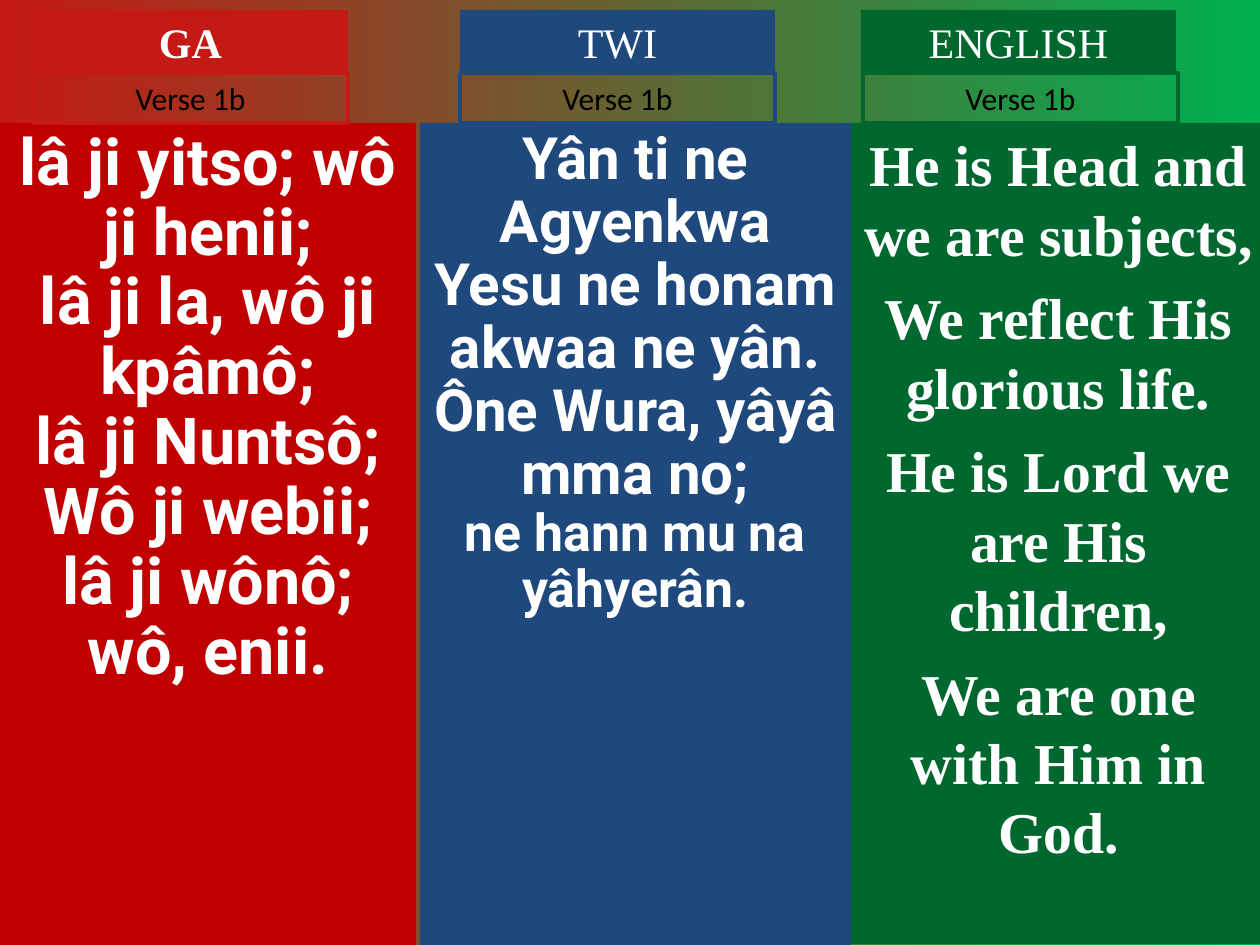
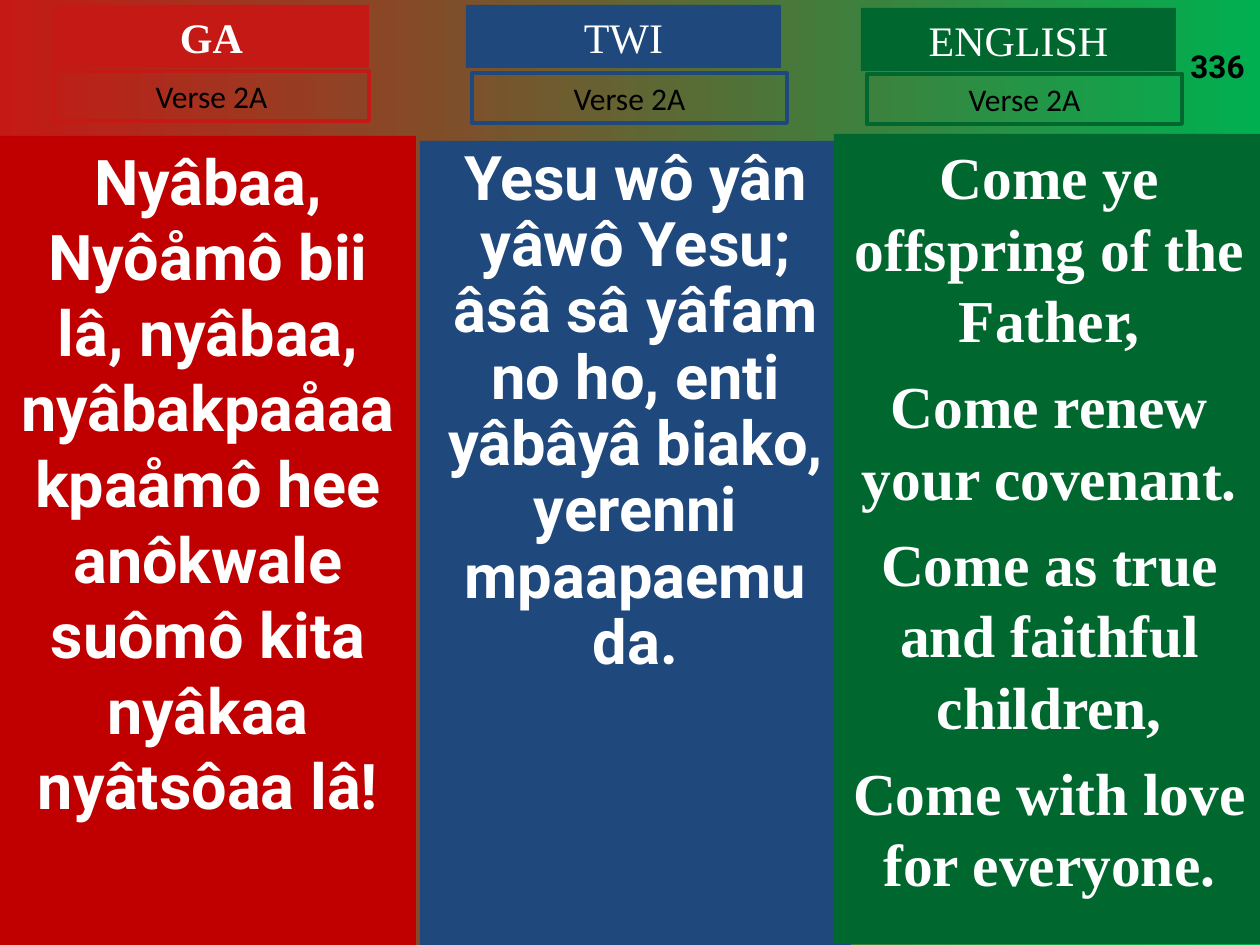
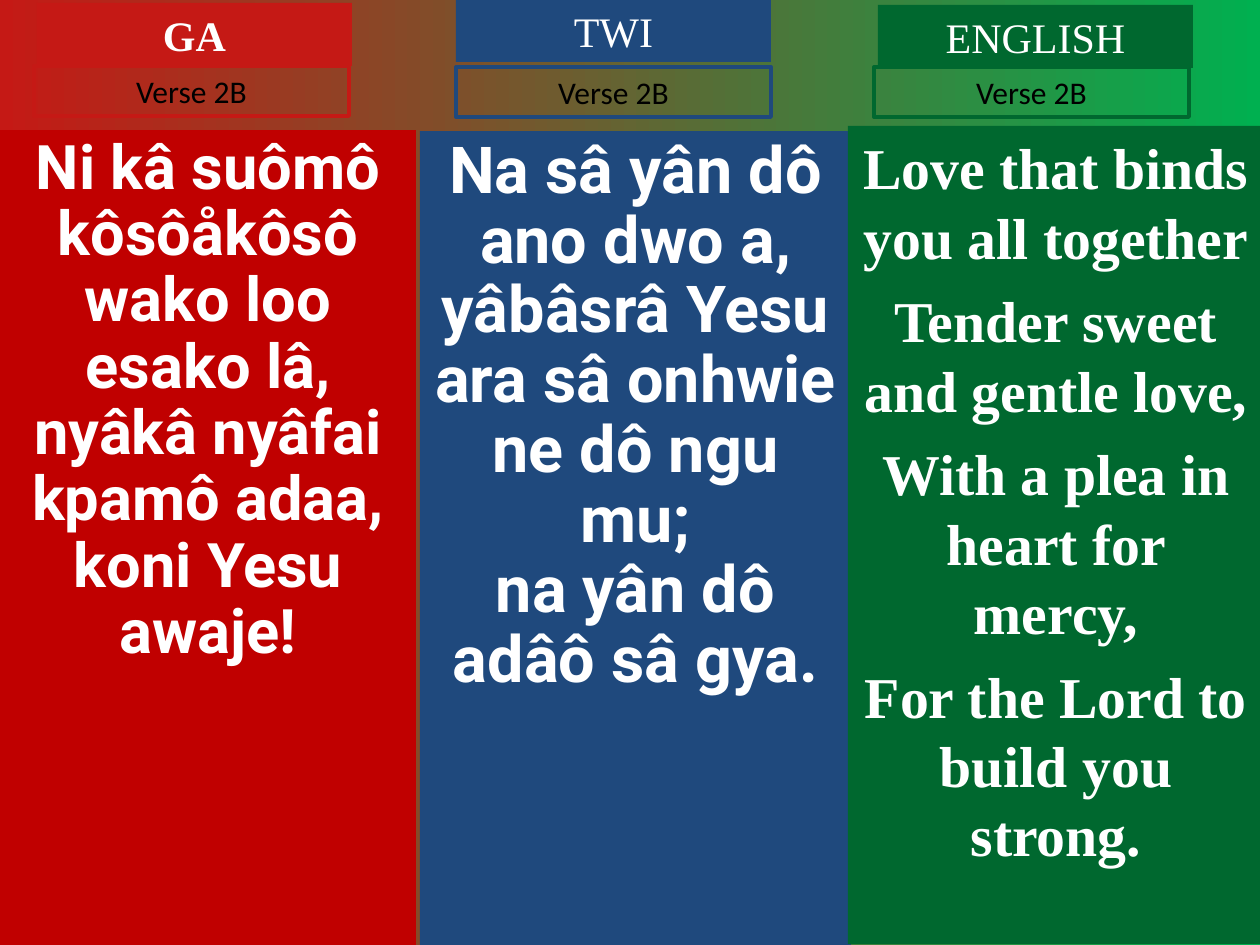
from pptx import Presentation
from pptx.dml.color import RGBColor
from pptx.enum.shapes import MSO_SHAPE
from pptx.enum.text import MSO_ANCHOR, MSO_AUTO_SIZE, PP_ALIGN
from pptx.util import Emu, Pt

PX = 914400 / 126
SLIDE_W, SLIDE_H = 1260, 945
HEADER_SIZE = (315, 63)
VERSE_SIZE = (315, 50)
COLOURS = {"red": "C51915", "deep red": "C00000", "blue": "1F497D",
           "green": "00682F", "bright green": "00B050",
           "white": "FFFFFF", "black": "000000"}

LANGUAGES = {
    "GA": {"panel": "deep red", "accent": "red", "font": "Roboto", "bold": True, "bottom": 945},
    "TWI": {"panel": "blue", "accent": "blue", "font": "Roboto", "bold": False, "bottom": 945},
    "ENGLISH": {"panel": "green", "accent": "green", "font": "Times New Roman", "bold": False,
                "bottom": 944},
}

VERSES = [
    {"title": "Verse 1b", "hymn": None, "columns": {
        "GA": {"panel": (0, 123, 416), "header": (33, 10), "verse": (33, 73),
               "size": 37, "spacing": 0.9, "before": 0, "lines": [
                   "lâ ji yitso; wô ji henii;", "lâ ji la, wô ji kpâmô;",
                   "lâ ji Nuntsô; Wô ji webii;", "lâ ji wônô; wô, enii."]},
        "TWI": {"panel": (420, 123, 431), "header": (460, 10), "verse": (460, 73),
                "size": 33.3, "last_size": 29.6, "spacing": 0.9, "before": 0, "lines": [
                    "Yân ti ne Agyenkwa Yesu ne honam akwaa ne yân.",
                    "Ône Wura, yâyâ mma no;", "ne hann mu na yâhyerân."]},
        "ENGLISH": {"panel": (851, 123, 415), "header": (861, 10), "verse": (863, 73),
                    "size": 33, "spacing": 1, "before": 8.2, "lines": [
                        "He is Head and we are subjects,", "We reflect His glorious life.",
                        "He is Lord we are His children,", "We are one with Him in God."]},
    }},
    {"title": "Verse 2A", "hymn": "336", "columns": {
        "GA": {"panel": (0, 136, 416), "header": (54, 5), "verse": (54, 71),
               "size": 36, "spacing": 1, "before": 0, "lines": [
                   "Nyâbaa, Nyôåmô bii lâ, nyâbaa,", "nyâbakpaåaa kpaåmô hee",
                   "anôkwale suômô kita", "nyâkaa nyâtsôaa lâ!"]},
        "TWI": {"panel": (420, 141, 431), "header": (466, 5), "verse": (472, 73),
                "size": 35.1, "spacing": 0.9, "before": 0, "lines": [
                    "Yesu wô yân yâwô Yesu;", "âsâ sâ yâfam no ho, enti yâbâyâ biako,",
                    "yerenni mpaapaemu da."]},
        "ENGLISH": {"panel": (834, 134, 431), "header": (861, 8), "verse": (867, 74),
                    "size": 34, "spacing": 1, "before": 8.5, "lines": [
                        "Come ye offspring of the Father,", "Come renew your covenant.",
                        "Come as true and faithful children,", "Come with love for everyone."]},
    }},
    {"title": "Verse 2B", "hymn": None, "columns": {
        "GA": {"panel": (0, 130, 416), "header": (37, 3), "verse": (34, 66),
               "size": 35.1, "spacing": 0.9, "before": 0, "lines": [
                   "Ni kâ suômô kôsôåkôsô", "wako loo esako lâ,",
                   "nyâkâ nyâfai kpamô adaa,", "koni Yesu awaje!"]},
        "TWI": {"panel": (420, 131, 431), "header": (456, -1), "verse": (456, 67),
                "size": 37, "spacing": 0.9, "before": 0, "lines": [
                    "Na sâ yân dô ano dwo a,", "yâbâsrâ Yesu ara sâ onhwie ne dô ngu mu;",
                    "na yân dô adâô sâ gya."]},
        "ENGLISH": {"panel": (848, 126, 416), "header": (878, 5), "verse": (874, 67),
                    "size": 33, "spacing": 1, "before": 8.2, "lines": [
                        "Love that binds you all together", "Tender sweet and gentle love,",
                        "With a plea in heart for mercy,", "For the Lord to build you strong."]},
    }},
]


def rgb(colour):
    return RGBColor.from_string(COLOURS[colour])


def emu(*lengths):
    return [Emu(round(length * PX)) for length in lengths]


def write(shape, lines, font, size, colour, bold=False, align=PP_ALIGN.CENTER,
          spacing=1, before=0, last_size=None, anchor=MSO_ANCHOR.TOP,
          auto_size=MSO_AUTO_SIZE.SHAPE_TO_FIT_TEXT):
    frame = shape.text_frame
    frame.text = "\n".join(lines)
    for key, value in {"word_wrap": True, "vertical_anchor": anchor,
                       "auto_size": auto_size}.items():
        setattr(frame, key, value)
    sizes = [size] * (len(lines) - 1) + [last_size or size]
    for number, (paragraph, points) in enumerate(zip(frame.paragraphs, sizes)):
        paragraph.alignment = align
        paragraph.line_spacing = spacing
        if number and before:
            paragraph.space_before = Pt(before)
        text_font = paragraph.runs[0].font
        for key, value in {"name": font, "size": Pt(points), "bold": bold}.items():
            setattr(text_font, key, value)
        text_font.color.rgb = rgb(colour)


def add_box(slide, place, fill=None, line=None):
    box = slide.shapes.add_shape(MSO_SHAPE.RECTANGLE, *emu(*place))
    box.shadow.inherit = False
    if fill:
        box.fill.solid()
        box.fill.fore_color.rgb = rgb(fill)
    else:
        box.fill.background()
    if line:
        box.line.color.rgb = rgb(line)
        box.line.width = Pt(2.25)
    else:
        box.line.fill.background()
    return box


def paint_background(slide):
    fill = slide.background.fill
    fill.gradient()
    fill.gradient_angle = 0
    for stop, position, colour in zip(fill.gradient_stops, (0, 1), ("red", "bright green")):
        stop.position = position
        stop.color.rgb = rgb(colour)


def add_column(slide, language, column, title):
    style = LANGUAGES[language]
    left, top, width = column["panel"]
    panel = add_box(slide, (left, top, width, style["bottom"] - top), fill=style["panel"])
    write(panel, column["lines"], style["font"], column["size"], "white", bold=True,
          spacing=column["spacing"], before=column["before"],
          last_size=column.get("last_size"), auto_size=MSO_AUTO_SIZE.NONE)
    header = add_box(slide, column["header"] + HEADER_SIZE, fill=style["accent"])
    write(header, [language], "Times New Roman", 24, "white", bold=style["bold"])
    verse = add_box(slide, column["verse"] + VERSE_SIZE, line=style["accent"])
    write(verse, [title], "Calibri", 18, "black")


def main():
    deck = Presentation()
    deck.slide_width, deck.slide_height = emu(SLIDE_W, SLIDE_H)
    for verse in VERSES:
        slide = deck.slides.add_slide(deck.slide_layouts[6])
        paint_background(slide)
        for language, column in verse["columns"].items():
            add_column(slide, language, column, verse["title"])
        if verse["hymn"]:
            hymn = slide.shapes.add_textbox(*emu(1178, 3, 84, 88))
            write(hymn, [verse["hymn"]], "Roboto", 18, "black", bold=True,
                  align=PP_ALIGN.LEFT, anchor=MSO_ANCHOR.BOTTOM,
                  auto_size=MSO_AUTO_SIZE.NONE)
    deck.save("out.pptx")


if __name__ == "__main__":
    main()
